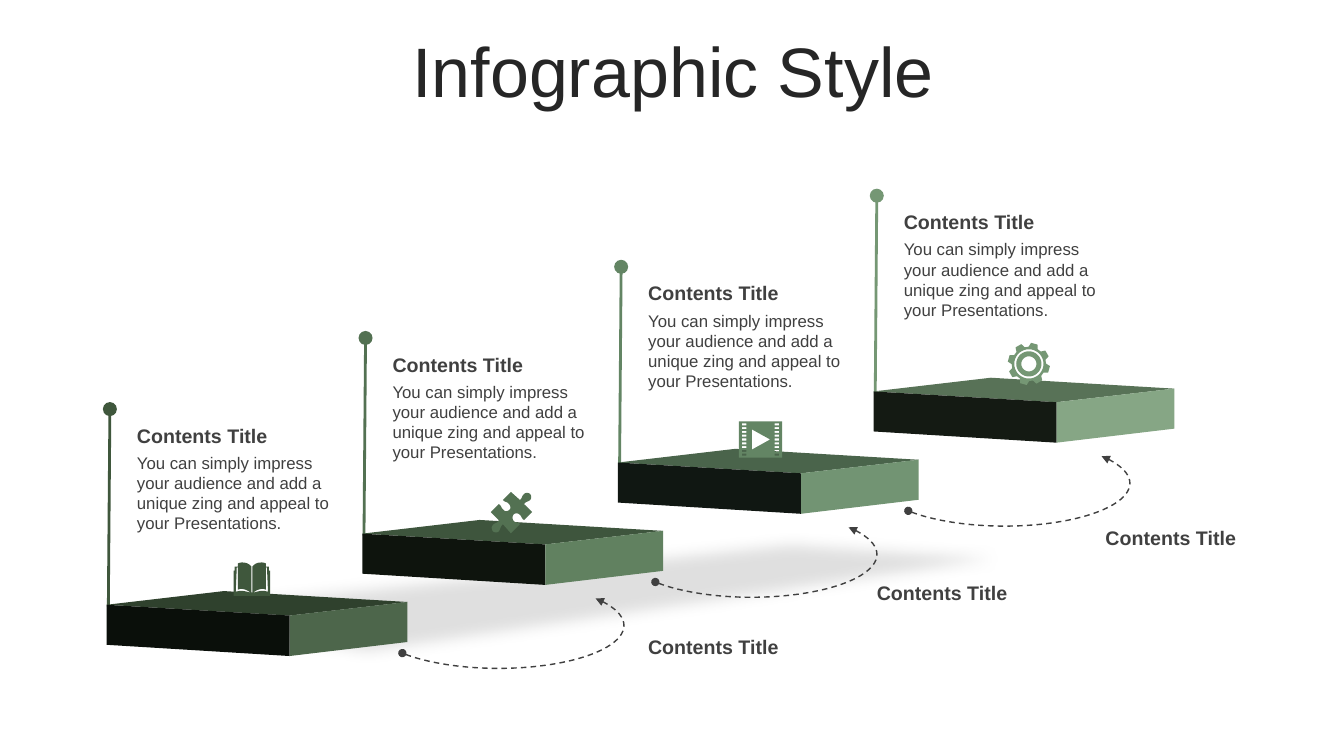
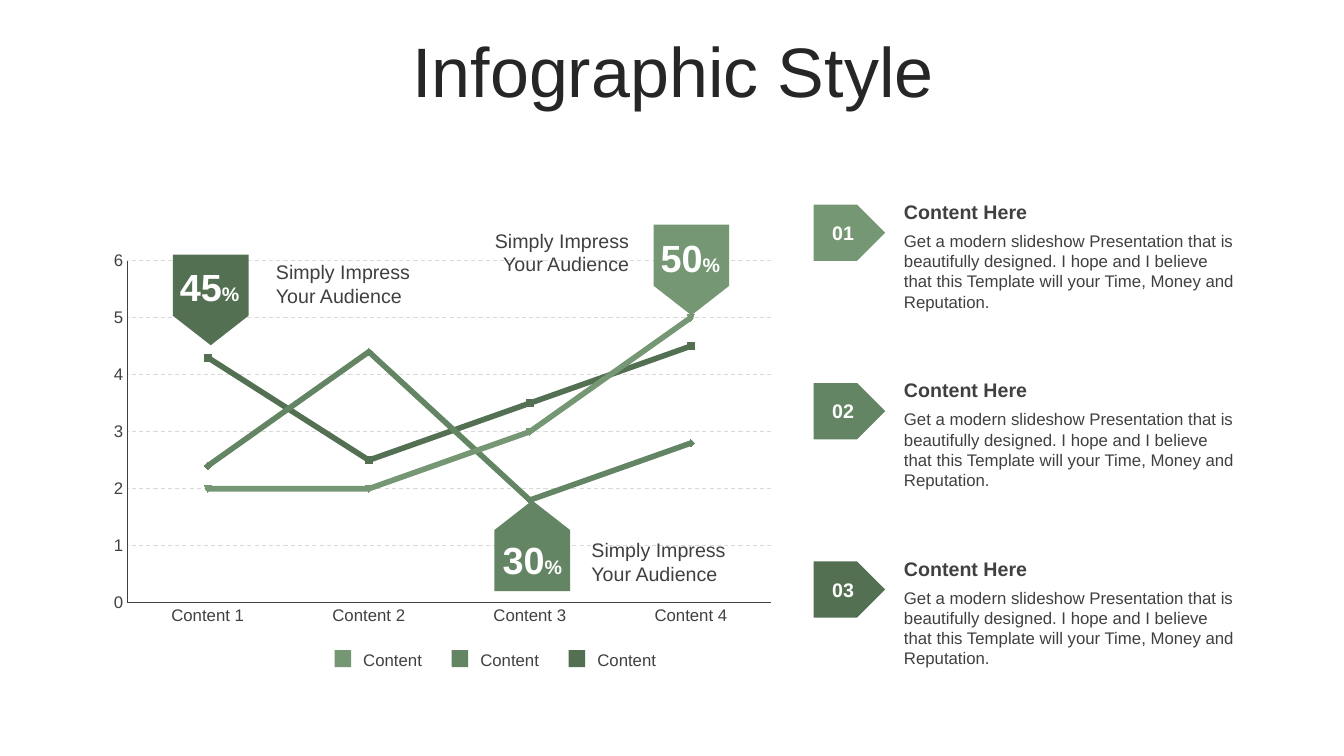
from dataclasses import dataclass
from math import cos, radians, sin

from pptx import Presentation
from pptx.chart.data import CategoryChartData
from pptx.dml.color import RGBColor
from pptx.enum.chart import XL_CHART_TYPE, XL_TICK_MARK
from pptx.enum.dml import MSO_LINE
from pptx.enum.shapes import MSO_CONNECTOR, MSO_SHAPE
from pptx.enum.text import MSO_ANCHOR, PP_ALIGN
from pptx.oxml import parse_xml
from pptx.oxml.ns import nsdecls
from pptx.util import Pt

LEFT, CENTER, RIGHT = PP_ALIGN.LEFT, PP_ALIGN.CENTER, PP_ALIGN.RIGHT
TOP, MIDDLE = MSO_ANCHOR.TOP, MSO_ANCHOR.MIDDLE
RECTANGLE, PENTAGON, ARC = MSO_SHAPE.RECTANGLE, MSO_SHAPE.PENTAGON, MSO_SHAPE.ARC
STRAIGHT, DASH = MSO_CONNECTOR.STRAIGHT, MSO_LINE.DASH
LINE_CHART, NO_TICK = XL_CHART_TYPE.LINE, XL_TICK_MARK.NONE

# Shared look
FONT = "Arial"
INK, TITLE_INK, WHITE, GRID_GRAY, SHADOW_GRAY = "404040", "262626", "FFFFFF", "D9D9D9", "808080"
FOREST, MOSS, FERN, SAGE = "3F573C", "537152", "638564", "759774"
ICON_UNIT = 0.72  # points per icon grid unit

Point = tuple[float, float]
Contour = list[Point]


@dataclass(frozen=True)
class Style:
    size: float
    color: str = INK
    bold: bool = False


TITLE, HEADING, BODY = Style(50, TITLE_INK), Style(14, bold=True), Style(12)
CAPTION, NUMBER = Style(14), Style(14, WHITE, True)
BIG_NUMBER = Style(27, WHITE, True)


@dataclass(frozen=True)
class Box:
    left: float
    top: float
    width: float
    height: float

    def lengths(self) -> tuple[Pt, Pt, Pt, Pt]:
        return Pt(self.left), Pt(self.top), Pt(self.width), Pt(self.height)


@dataclass(frozen=True)
class Step:
    color: str
    top_face: str
    front_face: str
    side_face: str
    icon: list[Contour]
    icon_at: Point


@dataclass(frozen=True)
class Badge:
    number: str
    color: str
    arrow: Box
    rotation: float
    number_at: Point
    caption: Box
    align: PP_ALIGN


def rgb(color: str) -> RGBColor:
    return RGBColor.from_string(color)


def format_font(font, style: Style) -> None:
    values = {"name": FONT, "size": Pt(style.size), "bold": style.bold}
    for name, value in values.items():
        setattr(font, name, value)
    font.color.rgb = rgb(style.color)


def add_text(slide, box: Box, paragraphs: list[list[tuple[str, Style]]],
             align=LEFT, anchor=TOP) -> None:
    frame = slide.shapes.add_textbox(*box.lengths()).text_frame
    for name, value in {"word_wrap": True, "vertical_anchor": anchor}.items():
        setattr(frame, name, value)
    for index, runs in enumerate(paragraphs):
        paragraph = frame.add_paragraph() if index else frame.paragraphs[0]
        paragraph.alignment = align
        for text, style in runs:
            run = paragraph.add_run()
            run.text = text
            format_font(run.font, style)


def paint(shape, color: str) -> None:
    shape.shadow.inherit = False
    shape.fill.solid()
    shape.fill.fore_color.rgb = rgb(color)
    shape.line.fill.background()


def add_preset(slide, kind, box: Box, color: str):
    shape = slide.shapes.add_shape(kind, *box.lengths())
    paint(shape, color)
    return shape


def add_outline(slide, contours: list[Contour], color: str, origin: Point = (0, 0),
                unit: float = 1):
    placed = [[(Pt(origin[0] + x * unit), Pt(origin[1] + y * unit)) for x, y in contour]
              for contour in contours]
    builder = slide.shapes.build_freeform(*placed[0][0])
    for index, contour in enumerate(placed):
        if index:
            builder.move_to(*contour[0])
        builder.add_line_segments(contour[1:], close=True)
    shape = builder.convert_to_shape()
    paint(shape, color)
    return shape


def add_line_end(shape, end: str, kind: str, size: str = "med") -> None:
    shape._element.spPr.get_or_add_ln().append(parse_xml(
        f'<a:{end} {nsdecls("a")} type="{kind}" w="{size}" len="{size}"/>'))


def add_titled_slide(presentation):
    slide = presentation.slides.add_slide(presentation.slide_layouts[5])
    title = slide.shapes.title
    title.left, title.top, title.width, title.height = Box(25.2, 26.6, 911.5, 56.9).lengths()
    title.text_frame.text = "Infographic Style"
    title.text_frame.vertical_anchor = MIDDLE
    paragraph = title.text_frame.paragraphs[0]
    for name, value in {"alignment": CENTER, "line_spacing": 0.8, "space_before": Pt(0)}.items():
        setattr(paragraph, name, value)
    format_font(paragraph.runs[0].font, TITLE)
    return slide


# Icon outlines
def trace(commands: list[tuple[float, ...]], pieces: int = 6) -> Contour:
    """Turn points and cubic curves (six numbers) into one polygon."""
    points = [commands[0]]
    for command in commands[1:]:
        if len(command) == 2:
            points.append(command)
            continue
        x0, y0 = points[-1]
        x1, y1, x2, y2, x3, y3 = command
        for piece in range(1, pieces + 1):
            t = piece / pieces
            a, b, c, d = (1 - t) ** 3, 3 * t * (1 - t) ** 2, 3 * t * t * (1 - t), t ** 3
            points.append((a * x0 + b * x1 + c * x2 + d * x3, a * y0 + b * y1 + c * y2 + d * y3))
    return points


def rectangle(left: float, top: float, width: float, height: float) -> Contour:
    right, bottom = left + width, top + height
    return [(left, top), (right, top), (right, bottom), (left, bottom)]


def polar(radius: float, degrees: float) -> Point:
    return 21 + radius * cos(radians(degrees)), 21 + radius * sin(radians(degrees))


def book_icon() -> list[Contour]:
    cover = trace([(0, 33), (0, 8), (1, 8), (1, 4), (4, 4), (4, 1), (6, 0, 8, 0, 9, 0),
                   (12, 0, 15, 1, 17.5, 4), (17.5, 30), (18, 30), (18, 33)])
    page_edge = trace([(3, 5), (2, 29), (9, 27, 12, 29, 17, 30), (13, 27, 8, 25, 4, 27), (4, 5)])
    half = [cover, page_edge]
    return half + [[(36 - x, y) for x, y in contour] for contour in half]


def puzzle_icon() -> list[Contour]:
    return [trace([
        (39, 2), (40, 3, 41, 6, 39, 8), (37, 10, 35, 9, 33, 12), (41, 20), (33, 28),
        (30, 26, 31, 24, 28, 22), (27, 21, 24, 21, 23, 22), (21, 24, 21, 27, 23, 29),
        (25, 31, 26, 29, 29, 32), (20, 41), (12, 32), (9, 35, 10, 36, 8, 39),
        (6, 41, 3, 40, 2, 39), (1, 37, 0, 35, 2, 33), (4, 30, 6, 32, 8, 28), (0, 20), (8, 12),
        (11, 14, 10, 16, 13, 18), (14, 20, 17, 19, 18, 18), (20, 17, 20, 14, 18, 12),
        (16, 9, 15, 11, 12, 8), (20, 0), (29, 8), (32, 5, 30, 5, 33, 2), (35, 0, 38, 1, 39, 2)])]


def film_icon() -> list[Contour]:
    holes = [rectangle(left, 2 + row * 3.75, 4.5, 2) for left in (3, 35.5) for row in range(9)]
    return [rectangle(0, 0, 43, 36), [(13, 8), (13, 28), (31, 18)], *holes]


def gear_icon() -> list[Contour]:
    corners = ((17, -16), (21, -9), (21, 9), (17, 16))
    teeth = [polar(radius, 15 + tooth * 45 + turn)
             for tooth in range(8) for radius, turn in corners]
    rings = [[polar(radius, angle) for angle in range(0, 360, 10)] for radius in (14.5, 12.5, 7.5)]
    return [teeth, *rings]


# Slide 1: rising steps
STEPS = [
    Step(FOREST, "2F412D", "0A0F0A", "4D664B", book_icon(), (167, 401.8)),
    Step(MOSS, "3E553D", "0E140D", "618160", puzzle_icon(), (350.6, 351.4)),
    Step(FERN, "4A644B", "101712", "729473", film_icon(), (527.8, 301)),
    Step(SAGE, "587257", "141A13", "86A685", gear_icon(), (719.8, 244.8)),
]
STEP_RIGHT, STEP_UP = 182.6, 50.8
BLOCK_FACES = {
    "top_face": [(76.2, 432), (160, 422.2), (291, 430), (207, 439.7)],
    "front_face": [(76.2, 432), (207, 439.7), (207, 468.6), (76.2, 460.6)],
    "side_face": [(207, 439.7), (291, 430), (291, 458.6), (207, 468.6)],
}
FLOOR_SHADOW = [(22.3, 435.6), (249, 473), (268, 474), (807, 395.3), (562, 378.7)]
STEP_TEXT = ("You can simply impress your audience and add a unique zing "
             "and appeal to your Presentations.")


def add_pin(slide, color: str, x: float, y: float) -> None:
    pin = slide.shapes.add_connector(STRAIGHT, Pt(x + 77.4), Pt(y + 433.4),
                                     Pt(x + 78.5), Pt(y + 292.2))
    pin.line.color.rgb = rgb(color)
    pin.line.width = Pt(2)
    add_line_end(pin, "tailEnd", "oval", "lg")
    pin._element.spPr.append(parse_xml(f'<a:effectLst {nsdecls("a")}/>'))


def add_floor_shadow(slide) -> None:
    shadow = add_outline(slide, [FLOOR_SHADOW], SHADOW_GRAY)
    properties = shadow._element.spPr
    properties.xpath("./a:solidFill/a:srgbClr")[0].append(
        parse_xml(f'<a:alpha {nsdecls("a")} val="25000"/>'))
    properties.xpath("./a:effectLst")[0].append(
        parse_xml(f'<a:softEdge {nsdecls("a")} rad="{Pt(10)}"/>'))


def add_jump_arrow(slide, box: Box) -> None:
    arrow = slide.shapes.add_shape(ARC, *box.lengths())
    arrow.shadow.inherit = False
    arrow.fill.background()
    for index, degrees in enumerate((344.4, 164)):
        arrow.adjustments[index] = degrees * 0.6
    arrow.line.color.rgb = rgb(INK)
    arrow.line.width = Pt(1)
    arrow.line.dash_style = DASH
    add_line_end(arrow, "headEnd", "triangle")
    add_line_end(arrow, "tailEnd", "oval")


def build_steps_slide(presentation) -> None:
    slide = add_titled_slide(presentation)
    offsets = [(index * STEP_RIGHT, -index * STEP_UP) for index in range(len(STEPS))]
    for step, (x, y) in zip(STEPS, offsets):
        add_pin(slide, step.color, x, y)
    add_floor_shadow(slide)
    for step, (x, y) in zip(STEPS, offsets):
        for face, corners in BLOCK_FACES.items():
            add_outline(slide, [corners], getattr(step, face), (x, y))
        add_text(slide, Box(90.7 + x, 319.7 + y, 157.7, 65.4), [[(STEP_TEXT, BODY)]])
        add_text(slide, Box(90.7 + x, 299 + y, 157.7, 24.2), [[("Contents Title", HEADING)]])
        add_outline(slide, step.icon, step.color, step.icon_at, ICON_UNIT)
    # Arrows between neighbouring steps
    for index in range(len(STEPS) - 1):
        add_jump_arrow(slide, Box(266.4 + index * 180.7, 416.2 - index * STEP_UP, 179.3, 61.2))
        add_text(slide, Box(455.8 + index * 163.4, 450 - index * 38.9, 108, 24.2),
                 [[("Contents Title", HEADING)]])


# Slide 2: line chart with callouts
SERIES = {
    "Series 1": (MOSS, (4.3, 2.5, 3.5, 4.5)),
    "Series 2": (FERN, (2.4, 4.4, 1.8, 2.8)),
    "Series 3": (SAGE, (2, 2, 3, 5)),
}
BADGES = [
    Badge("45", MOSS, Box(118.1, 187.2, 64.8, 54), 90, (121, 184.3),
          Box(190, 182.2, 128.9, 41), LEFT),
    Badge("50", SAGE, Box(461.5, 165.8, 64.8, 54), 90, (464.4, 163.4),
          Box(327.6, 159.8, 128.9, 41), RIGHT),
    Badge("30", FERN, Box(347.8, 362.9, 64.8, 54), 270, (351.4, 379.4),
          Box(415.4, 380.9, 115.9, 41), LEFT),
]
SHADES = (SAGE, FERN, MOSS)
POINT_TEXT = ("Get a modern slideshow Presentation that is beautifully designed. I hope and "
              "I believe that this Template will your Time, Money and Reputation.")


def add_line_chart(slide) -> None:
    data = CategoryChartData()
    data.categories = [f"Content {number}" for number in range(1, 5)]
    for name, (_, values) in SERIES.items():
        data.add_series(name, values)
    box = Box(71.3, 175, 489.6, 277.9)
    chart = slide.shapes.add_chart(LINE_CHART, *box.lengths(), data).chart
    for name, value in {"has_legend": False, "has_title": False}.items():
        setattr(chart, name, value)
    format_font(chart.font, BODY)
    for series, (color, _) in zip(chart.plots[0].series, SERIES.values()):
        series.smooth = False
        series.marker.style = None
        series.format.line.color.rgb = rgb(color)
        series.format.line.width = Pt(4)
        series._element.xpath("./c:spPr/a:ln")[0].set("cap", "rnd")
    for axis in (chart.category_axis, chart.value_axis):
        axis.major_tick_mark = axis.minor_tick_mark = NO_TICK
        axis.format.line.color.rgb = rgb(INK)
        axis.format.line.width = Pt(0.75)
        format_font(axis.tick_labels.font, BODY)
    scale = {"minimum_scale": 0, "maximum_scale": 6, "major_unit": 1, "has_major_gridlines": True}
    for name, value in scale.items():
        setattr(chart.value_axis, name, value)
    grid = chart.value_axis.major_gridlines.format.line
    grid.color.rgb = rgb(GRID_GRAY)
    grid.width, grid.dash_style = Pt(0.75), DASH
    # Fixed plot area, so that the callouts meet the lines
    plot_area = chart._chartSpace.chart.plotArea
    for layout in plot_area.xpath("./c:layout"):
        plot_area.remove(layout)
    places = "".join(f'<c:{name} val="{value}"/>' for name, value in
                     {"x": 0.04, "y": 0.04, "w": 0.94, "h": 0.88}.items())
    plot_area.insert(0, parse_xml(
        f'<c:layout {nsdecls("c")}><c:manualLayout><c:layoutTarget val="inner"/>'
        f'<c:xMode val="edge"/><c:yMode val="edge"/>{places}</c:manualLayout></c:layout>'))


def build_chart_slide(presentation) -> None:
    slide = add_titled_slide(presentation)
    add_line_chart(slide)
    # Percentage callouts
    for badge in BADGES:
        arrow = add_preset(slide, PENTAGON, badge.arrow, badge.color)
        arrow.rotation = badge.rotation
        arrow.adjustments[0] = 0.39
        add_text(slide, Box(*badge.number_at, 57.6, 40.3),
                 [[(badge.number, BIG_NUMBER), ("%", NUMBER)]], CENTER, MIDDLE)
        add_text(slide, badge.caption, [[("Simply Impress", CAPTION)], [("Your Audience", CAPTION)]],
                 badge.align, MIDDLE)
    # Legend keys and numbered points
    for index, color in enumerate(SHADES):
        x, y = index * 83.6, index * 127.4
        add_preset(slide, RECTANGLE, Box(239 + x, 464.4, 11.8, 12.2), color)
        add_text(slide, Box(252.4 + x, 460.4, 67.7, 21.6), [[("Content", BODY)]], anchor=MIDDLE)
        add_text(slide, Box(638.6, 139 + y, 252.7, 24.2), [[("Content Here", HEADING)]],
                 anchor=MIDDLE)
        add_text(slide, Box(638.6, 161.3 + y, 252.7, 65.4), [[(POINT_TEXT, BODY)]])
        add_preset(slide, PENTAGON, Box(581.2, 146.2 + y, 51.1, 40.2), color)
        add_text(slide, Box(576.7, 154.1 + y, 51.1, 24.2), [[(f"{index + 1:02}", NUMBER)]],
                 CENTER, MIDDLE)


def main() -> None:
    presentation = Presentation()
    presentation.slide_width, presentation.slide_height = Pt(960), Pt(540)
    build_steps_slide(presentation)
    build_chart_slide(presentation)
    presentation.save("out.pptx")


if __name__ == "__main__":
    main()
